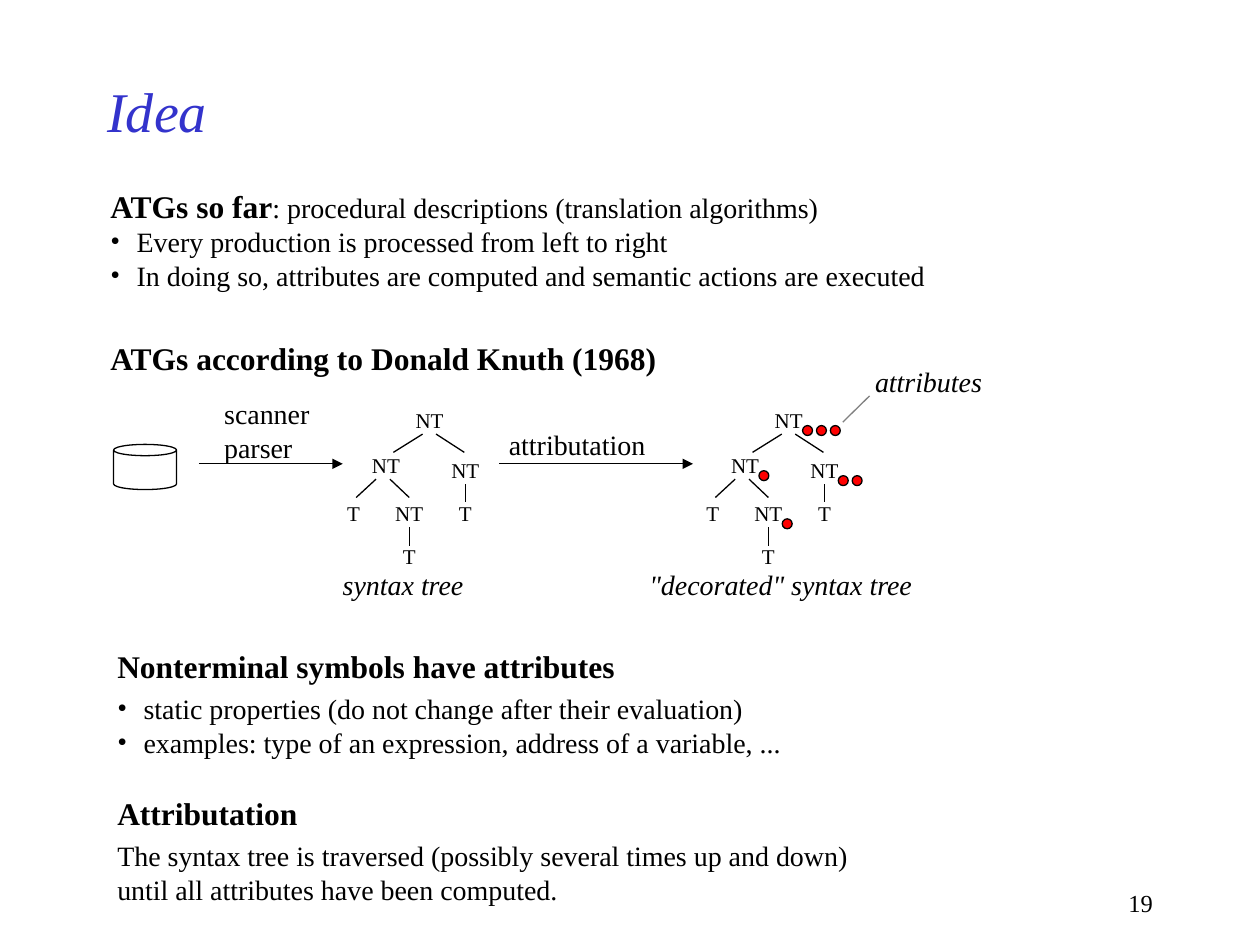
from lxml.etree import SubElement
from pptx import Presentation
from pptx.dml.color import RGBColor
from pptx.enum.shapes import MSO_CONNECTOR, MSO_SHAPE
from pptx.enum.text import MSO_ANCHOR, MSO_AUTO_SIZE, PP_ALIGN
from pptx.oxml.ns import qn
from pptx.util import Cm, Pt

# Content: lengths in cm
BLACK, BLUE, RED, GREY = "000000", "3333CC", "FF0000", "808080"
TITLE = "Idea"
HEAD = dict(size=Pt(18), bold=True, italic=False)
BODY = dict(size=Pt(16), bold=False, italic=False)
NOTE = dict(BODY, italic=True)
NODE = dict(BODY, size=Pt(12))
PAGE = dict(BODY, size=Pt(14))

# Text blocks: box, gap after the heading, heading, rest of its line, bulleted, lines
BLOCKS = [
    ((1.97, 3.64, 17.02, 2.39), 0, "ATGs so far",
     ": procedural descriptions (translation algorithms)", True,
     ["Every production is processed from left to right",
      "In doing so, attributes are computed and semantic actions are executed"]),
    ((1.97, 6.71, 11.56, 1.02), 0, "ATGs according to Donald Knuth (1968)", "", False, []),
    ((2.11, 12.91, 13.94, 2.54), 4, "Nonterminal symbols have attributes", "", True,
     ["static properties (do not change after their evaluation)",
      "examples: type of an expression, address of a variable, ..."]),
    ((2.11, 15.88, 15.44, 2.54), 4, "Attributation", "", False,
     ["The syntax tree is traversed (possibly several times up and down)",
      "until all attributes have been computed."]),
]
LABELS = [
    ((4.27, 7.87, 2.24, 1.63), ["scanner", "parser"], BODY),
    ((6.66, 11.32, 2.97, 0.94), ["syntax tree"], NOTE),
    ((10.01, 8.5, 3.28, 0.94), ["attributation"], BODY),
    ((12.84, 11.32, 5.84, 0.94), ['"decorated" syntax tree'], NOTE),
    ((17.39, 7.23, 2.67, 0.94), ["attributes"], NOTE),
]
ARROWS = [(4.01, 6.91), (10.06, 13.97)]
FLOW = 9.35

# Tree nodes: text, centre from the root, top, number of attributes
NODES = [("NT", 0, 8.21, 3), ("NT", -0.88, 9.12, 1), ("NT", 0.72, 9.22, 2),
         ("T", -1.53, 10.09, 0), ("NT", -0.41, 10.09, 1),
         ("T", 0.72, 10.09, 0), ("T", -0.41, 10.95, 0)]
# Tree edges: parent, child, shift at the parent, shift at the child
EDGES = [(0, 1, -0.14, 0.15), (0, 2, 0.13, -0.02), (1, 3, -0.2, 0.05),
         (1, 4, 0.08, 0), (2, 5, 0, 0), (4, 6, 0, 0)]
TREES = [(8.66, False), (15.9, True)]
WIDE = {"NT": 0.6, "T": 0.3}
HIGH, DROP, DOT, STEP = 0.51, 0.37, 0.2, 0.28

deck = Presentation()
deck.slide_width, deck.slide_height = Cm(25.4), Cm(19.05)
slide = deck.slides.add_slide(deck.slide_layouts[4])
shapes = slide.shapes


def tint(color, code):
    color.rgb = RGBColor.from_string(code)


def write(para, text, form, code=BLACK):
    run = para.add_run()
    run.text = text
    for key, val in dict(form, name="Times New Roman").items():
        setattr(run.font, key, val)
    tint(run.font.color, code)


def place(shape, box):
    for key, val in zip(("left", "top", "width", "height"), box):
        setattr(shape, key, Cm(val))


def indent(para, mark):
    props = para._p.get_or_add_pPr()
    props.set("marL", str(Cm(0.53)))
    props.set("indent", str(-Cm(0.53)))
    if mark:
        SubElement(props, qn("a:buFont"), typeface="Times New Roman")
        SubElement(props, qn("a:buChar"), char="•")
    else:
        SubElement(props, qn("a:buNone"))


def fit(frame):
    frame.word_wrap = False
    frame.auto_size = MSO_AUTO_SIZE.SHAPE_TO_FIT_TEXT


def label(box, lines, form, align=PP_ALIGN.LEFT, pad=True):
    frame = shapes.add_textbox(*map(Cm, box)).text_frame
    if align == PP_ALIGN.RIGHT:
        frame.word_wrap = True
    else:
        fit(frame)
    if not pad:
        for side in ("left", "top", "right", "bottom"):
            setattr(frame, "margin_" + side, 0)
    for num, text in enumerate(lines):
        para = frame.add_paragraph() if num else frame.paragraphs[0]
        para.alignment = align
        write(para, text, form)


def link(x1, y1, x2, y2, code=BLACK, arrow=False):
    line = shapes.add_connector(MSO_CONNECTOR.STRAIGHT, *map(Cm, (x1, y1, x2, y2)))
    line.line.width = Pt(0.75)
    tint(line.line.color, code)
    if arrow:
        SubElement(line.line._get_or_add_ln(), qn("a:tailEnd"), type="triangle")
    SubElement(line._element.spPr, qn("a:effectLst"))


def draw(kind, box, code=None):
    shape = shapes.add_shape(kind, *map(Cm, box))
    shape.shadow.inherit = False
    shape.line.width = Pt(0.75)
    tint(shape.line.color, BLACK)
    if code:
        shape.fill.solid()
        tint(shape.fill.fore_color, code)
    else:
        shape.fill.background()


# Title
title = shapes.title
place(title, (1.91, 1.27, 19.05, 1.91))
title.text_frame.vertical_anchor = MSO_ANCHOR.MIDDLE
para = title.text_frame.paragraphs[0]
para.alignment = PP_ALIGN.LEFT
write(para, TITLE, dict(NOTE, size=Pt(32)), BLUE)

# Text blocks
for num, (box, gap, head, rest, mark, lines) in enumerate(BLOCKS, 1):
    body = slide.placeholders[num]
    place(body, box)
    frame = body.text_frame
    fit(frame)
    frame.vertical_anchor = MSO_ANCHOR.TOP
    para = frame.paragraphs[0]
    write(para, head, HEAD)
    if rest:
        write(para, rest, BODY)
    for line in lines:
        write(frame.add_paragraph(), line, BODY)
    for pos, para in enumerate(frame.paragraphs):
        para.space_before = Pt(0)
        para.space_after = Pt(0 if pos else gap)
        indent(para, mark and pos > 0)

# Source file, flow arrows and labels
draw(MSO_SHAPE.CAN, (2.29, 8.96, 1.27, 0.91))
for start, end in ARROWS:
    link(start, FLOW, end, FLOW, arrow=True)
for box, lines, form in LABELS:
    label(box, lines, form)
link(16.99, 8.51, 17.53, 7.98, GREY)

# Syntax trees, the second with attribute dots
for root, dotted in TREES:
    for up, down, out, into in EDGES:
        y = NODES[up][2] + HIGH + 0.03
        link(root + NODES[up][1] + out, y, root + NODES[down][1] + into, y + DROP)
    for text, shift, top, count in NODES:
        mid = root + shift
        box = (mid - WIDE[text] / 2, top, WIDE[text], HIGH)
        label(box, [text], NODE, PP_ALIGN.CENTER, False)
        for num in range(count if dotted else 0):
            draw(MSO_SHAPE.OVAL, (mid + STEP * (num + 1), top + 0.37, DOT, DOT), RED)

# Page number
label((18.21, 17.78, 5.28, 0.84), ["19"], PAGE, PP_ALIGN.RIGHT)

deck.save("out.pptx")
